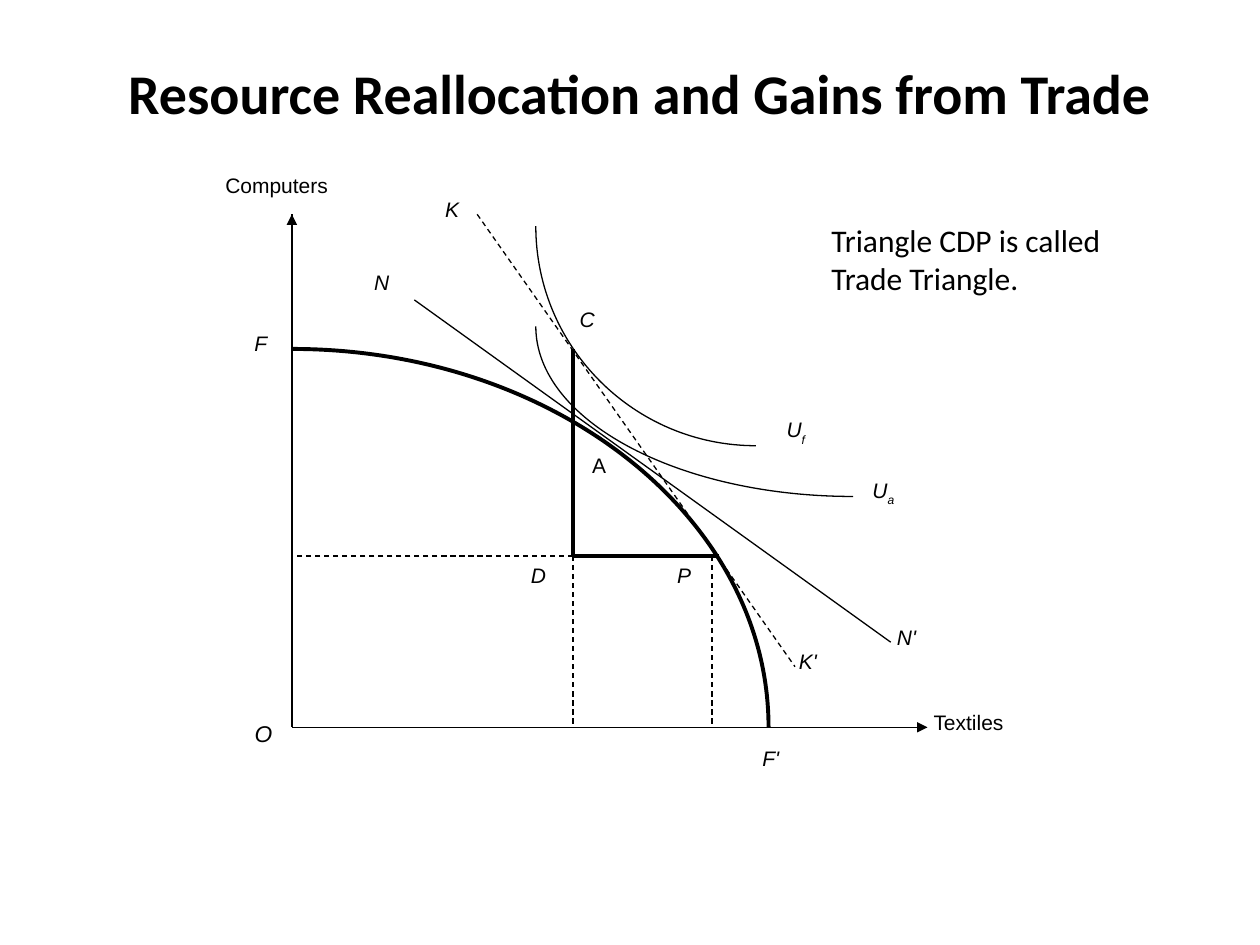
import pptx
import pptx.dml.color
import pptx.enum.dml
import pptx.enum.shapes
import pptx.enum.text
import pptx.oxml
import pptx.oxml.ns
import pptx.util

Pt = pptx.util.Pt
COLORS = {"ink": "000000"}
NS = pptx.oxml.ns.nsdecls("a")
THIN, THICK = 0.75, 2.25
LEFT, RIGHT = 166.8, 530
TOP, BASE = 122.5, 415.6
C_X, C_Y, D_Y = 327.4, 199.4, 317.7
ARROW = 20.9
KAPPA = 0.5523


def ink():
    return pptx.dml.color.RGBColor.from_string(COLORS["ink"])


def add_line(slide, start, end, width=THIN, dashed=False, arrow=False):
    points = [Pt(v) for v in (*start, *end)]
    sp = slide.shapes.add_connector(pptx.enum.shapes.MSO_CONNECTOR.STRAIGHT, *points)
    sp.line.color.rgb = ink()
    sp.line.width = Pt(width)
    if dashed:
        sp.line.dash_style = pptx.enum.dml.MSO_LINE.DASH
    if arrow:
        tail = pptx.oxml.parse_xml(f'<a:tailEnd {NS} type="triangle"/>')
        sp.line._get_or_add_ln().append(tail)
    sp._element.spPr.append(pptx.oxml.parse_xml(f"<a:effectLst {NS}/>"))


def add_quarter_ellipse(slide, start, end, width=THIN):
    builder = slide.shapes.build_freeform(Pt(start[0]), Pt(start[1]))
    builder.add_line_segments([(Pt(end[0]), Pt(end[1]))], close=False)
    sp = builder.convert_to_shape()
    x0, x1 = (0, sp.width) if end[0] > start[0] else (sp.width, 0)
    y0, y1 = (0, sp.height) if end[1] > start[1] else (sp.height, 0)
    controls = [(x0 + KAPPA * (x1 - x0), y0), (x1, y1 - KAPPA * (y1 - y0)), (x1, y1)]
    points = "".join(f'<a:pt x="{round(x)}" y="{round(y)}"/>' for x, y in controls)
    segment = sp._element.find(".//" + pptx.oxml.ns.qn("a:lnTo"))
    segment.getparent().replace(segment, pptx.oxml.parse_xml(
        f"<a:cubicBezTo {NS}>{points}</a:cubicBezTo>"))
    sp.shadow.inherit = False
    sp.fill.background()
    sp.line.color.rgb = ink()
    sp.line.width = Pt(width)


def format_run(r, size, font, italic=False):
    r.font.size = Pt(size)
    r.font.name = font
    r.font.italic = italic
    r.font.color.rgb = ink()


def add_text(slide, text, box, size, font, inset=(7.2, 3.6), wrap=True):
    sp = slide.shapes.add_textbox(*[Pt(v) for v in box])
    tf = sp.text_frame
    tf.word_wrap = wrap
    tf.margin_left = tf.margin_right = Pt(inset[0])
    tf.margin_top = tf.margin_bottom = Pt(inset[1])
    tf.text = text
    p = tf.paragraphs[0]
    format_run(p.runs[0], size, font)
    return tf


def add_heading(slide, text, box, size, bold=False, wrap=True):
    tf = add_text(slide, text, box, size, "Calibri", wrap=wrap)
    tf.auto_size = pptx.enum.text.MSO_AUTO_SIZE.SHAPE_TO_FIT_TEXT
    tf.paragraphs[0].runs[0].font.bold = bold


def add_label(slide, text, box, italic=True, subscript="", size=12):
    tf = add_text(slide, text, box, size, "Arial", inset=(5, 2.9))
    p = tf.paragraphs[0]
    p.runs[0].font.italic = italic
    if subscript:
        r = p.add_run()
        r.text = subscript
        format_run(r, size, "Arial", italic)
        r.font._element.set("baseline", "-30000")


def draw_diagram(slide):
    add_line(slide, (LEFT, TOP), (LEFT, BASE))
    add_line(slide, (LEFT, BASE), (RIGHT, BASE))
    add_quarter_ellipse(slide, (LEFT, C_Y), (439.2, BASE), THICK)
    add_line(slide, (272.7, TOP), (454.3, 381), dashed=True)
    add_quarter_ellipse(slide, (487.5, 283.7), (306.2, 186.5))
    add_quarter_ellipse(slide, (432, 254.7), (306.2, 129.2))
    add_line(slide, (236.8, 171.4), (509, 367))
    add_line(slide, (C_X, C_Y), (C_X, D_Y), THICK)
    for end_x in (404, 411):
        add_line(slide, (C_X, D_Y), (end_x, D_Y), THICK)
    add_line(slide, (406.8, D_Y), (406.8, BASE), dashed=True)
    add_line(slide, (C_X, D_Y), (LEFT, D_Y), dashed=True)
    add_line(slide, (C_X, D_Y), (C_X, BASE), dashed=True)
    add_line(slide, (LEFT, TOP + ARROW), (LEFT, TOP), arrow=True)
    add_line(slide, (RIGHT - ARROW, BASE), (RIGHT, BASE), arrow=True)


def draw_labels(slide):
    for text, left, top, width in [
        ("N", 208.8, 151.2, 34.6),
        ("N'", 507.6, 353.9, 43.2),
        ("P", 381.9, 318.7, 28.8),
        ("C", 326.2, 172.5, 29.5),
        ("K", 249.4, 109.4, 30.2),
        ("K'", 451.6, 367.9, 43.2),
        ("F", 140.4, 186.2, 28.8),
        ("F'", 430.6, 423.4, 43.2),
        ("D", 298.4, 318.7, 31),
    ]:
        add_label(slide, text, (left, top, width, 31))
    add_label(slide, "A", (333.4, 256, 31, 31), italic=False)
    add_label(slide, "Textiles", (528.5, 402.5, 79.2, 53.3), italic=False)
    add_label(slide, "Computers", (123.8, 95.8, 102.2, 53.3), italic=False)
    add_label(slide, "U", (493.5, 270, 37.4, 53.3), subscript="a")
    add_label(slide, "U", (444.5, 235.4, 36, 31), subscript="f")
    add_label(slide, "O", (139, 408.2, 36, 34.6), size=13)
    tf = slide.shapes[-1].text_frame
    tf.margin_left = tf.margin_right = Pt(6.5)


def main():
    prs = pptx.Presentation()
    prs.slide_width, prs.slide_height = Pt(720), Pt(540)
    slide = prs.slides.add_slide(prs.slide_layouts[6])
    draw_diagram(slide)
    draw_labels(slide)
    add_heading(slide, "Resource Reallocation and Gains from Trade",
                (66.2, 29.9, 599.8, 46), 32, bold=True, wrap=False)
    add_heading(slide, "Triangle CDP is called Trade Triangle.",
                (468, 122.7, 185.8, 51), 18)
    prs.save("out.pptx")


if __name__ == "__main__":
    main()
